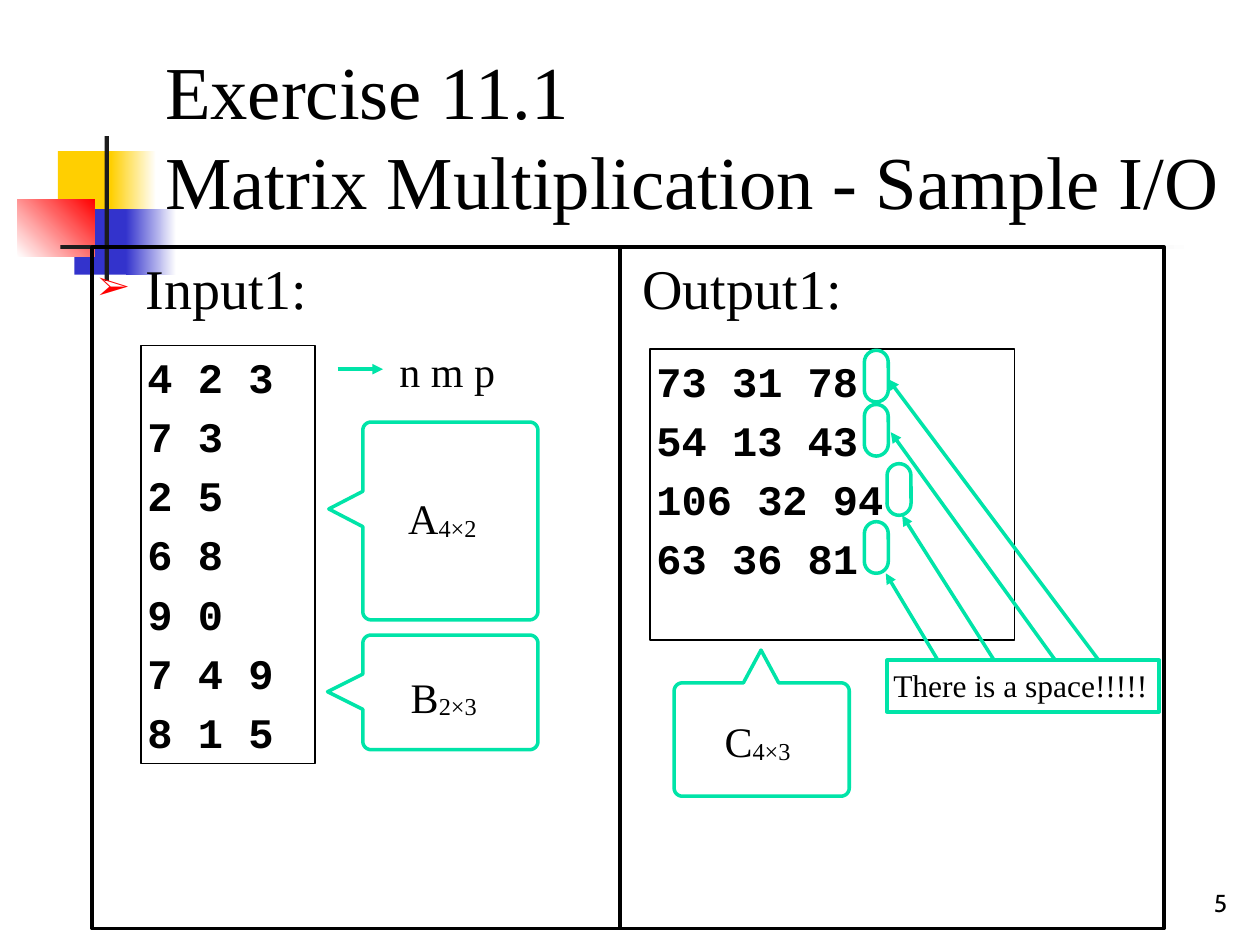
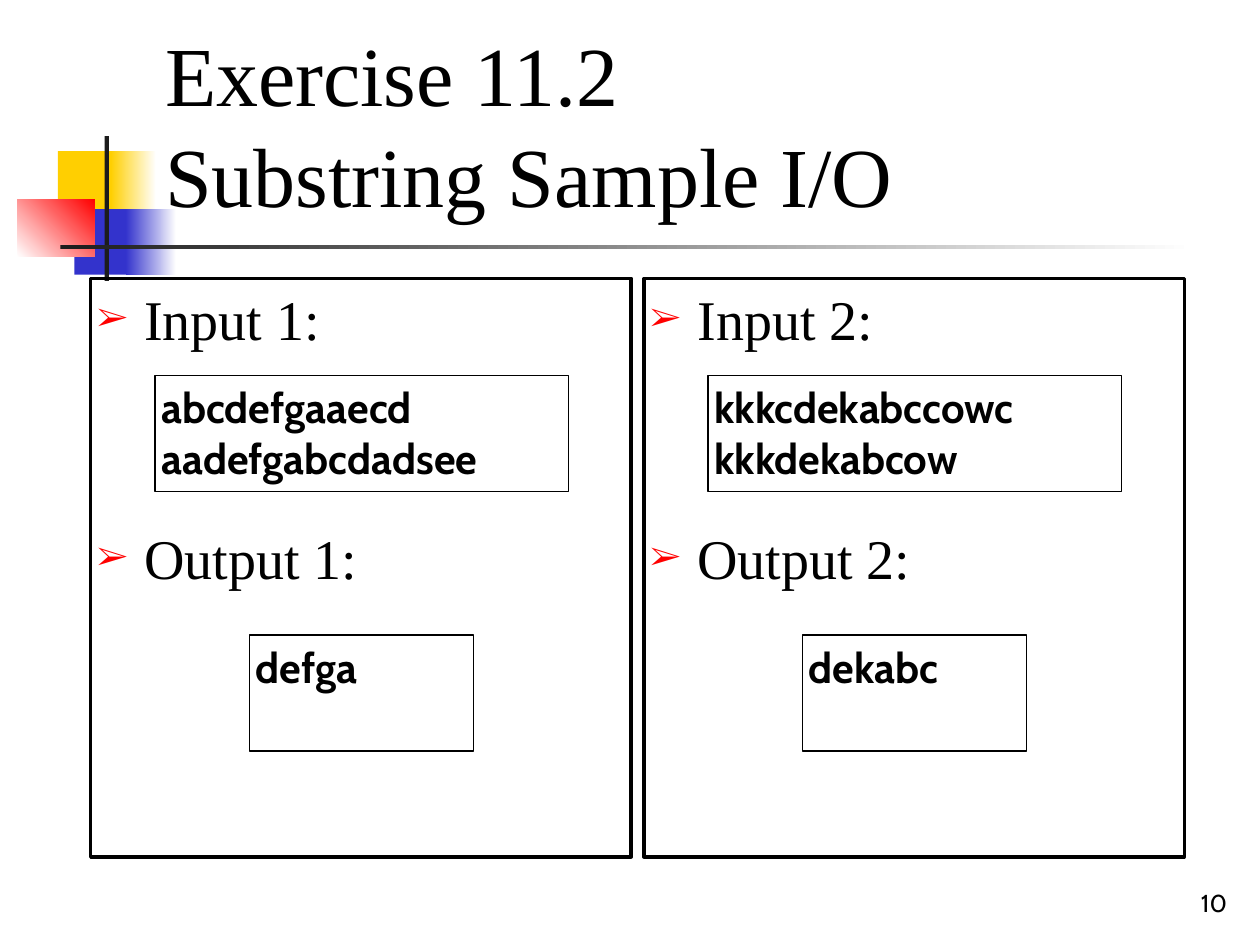
import math

import pptx
import pptx.dml.color
import pptx.enum.shapes
import pptx.enum.text
import pptx.oxml.ns
import pptx.util
from lxml import etree

# The slide is a grid of 100 columns by 75 rows; every length below is in cells.
CELL = pptx.util.Inches(0.1)
COLUMNS, ROWS = 100, 75
COLORS = {
    "ink": "000000", "paper": "FFFFFF", "yellow": "FFCF01", "blue": "3333CC",
    "red": "FF0000", "rule": "1C1C1C", "accent": "00E4A8",
}
SERIF, MONO, SANS = "Times New Roman", "Courier New", "Cabin"
PRESETS = pptx.enum.shapes.MSO_SHAPE
ANCHORS = pptx.enum.text.MSO_ANCHOR
ALIGNS = pptx.enum.text.PP_ALIGN
qn = pptx.oxml.ns.qn
rgb = {name: pptx.dml.color.RGBColor.from_string(code) for name, code in COLORS.items()}


def style(shape, fill=None, line=None, weight=2):
    """Fill may be a colour name, None, or (start, end, angle) for a gradient."""
    shape.shadow.inherit = False
    if fill is None:
        shape.fill.background()
    elif isinstance(fill, tuple):
        shape.fill.gradient()
        shape.fill.gradient_angle = fill[2]
        for stop, name in zip(shape.fill.gradient_stops, fill):
            stop.color.rgb = rgb[name]
    else:
        shape.fill.solid()
        shape.fill.fore_color.rgb = rgb[fill]
    if line:
        shape.line.color.rgb = rgb[line]
        shape.line.width = pptx.util.Pt(weight)
    else:
        shape.line.fill.background()


def write(slide, text, at, size=24, font=SERIF, bold=False, subscript="", bullet=False,
          before=0, gap=0, align=ALIGNS.LEFT, anchor=ANCHORS.TOP, wrap=True,
          fill=None, line=None, weight=2):
    """Add text, one paragraph a line; gap is the space before later paragraphs."""
    place = [round(length * CELL) for length in at]
    if line:
        holder = slide.shapes.add_shape(PRESETS.RECTANGLE, *place)
        style(holder, fill, line, weight)
    else:
        holder = slide.shapes.add_textbox(*place)
    frame = holder.text_frame
    frame.word_wrap = wrap
    frame.vertical_anchor = anchor
    frame.margin_left = frame.margin_right = round(CELL / 2)
    frame.margin_top = frame.margin_bottom = round(CELL / 2)
    for number, content in enumerate(text.split("\n")):
        paragraph = frame.add_paragraph() if number else frame.paragraphs[0]
        paragraph.alignment = align
        paragraph.space_before = pptx.util.Pt(gap if number else before)
        for part in filter(None, (content, subscript)):
            run = paragraph.add_run()
            run.text = part
            run.font.name = font
            run.font.size = pptx.util.Pt(size)
            run.font.bold = bold
            run.font.color.rgb = rgb["ink"]
        if subscript:
            run.font._element.set("baseline", "-6000")
        if bullet:
            properties = paragraph._p.get_or_add_pPr()
            properties.set("marL", str(round(3.75 * CELL)))
            properties.set("indent", str(round(-3.75 * CELL)))
            color = etree.SubElement(properties, qn("a:buClr"))
            etree.SubElement(color, qn("a:srgbClr"), val=COLORS["red"])
            etree.SubElement(properties, qn("a:buSzPct"), val="60000")
            etree.SubElement(properties, qn("a:buFont"), typeface=font)
            etree.SubElement(properties, qn("a:buChar"), char="➢")


deck = pptx.Presentation()
deck.slide_width, deck.slide_height = COLUMNS * CELL, ROWS * CELL

# Shared corner ornament, title and page number
ornament = [
    ((4.6, 12, 4.8, 5.2), "yellow"),
    ((8.8, 12, 3.6, 5.2), ("yellow", "paper", 0)),
    ((5.9, 16.6, 4.6, 5.2), "blue"),
    ((10, 16.6, 4, 5.2), ("blue", "paper", 0)),
    ((1.4, 15.8, 6.1, 4.6), ("paper", "red", 45)),
    ((8.3, 10.8, 0.35, 11.5), "rule"),
    ((4.8, 19.45, 90, 0.35), ("rule", "paper", 0)),
]
headings = [
    ("Exercise 11.1\nMatrix Multiplication - Sample I/O", 42.7, "5"),
    ("Exercise 11.2\nSubstring Sample I/O", 48, "10"),
]
for title, title_size, page in headings:
    slide = deck.slides.add_slide(deck.slide_layouts[6])
    for at, fill in ornament:
        place = [round(length * CELL) for length in at]
        style(slide.shapes.add_shape(PRESETS.RECTANGLE, *place), fill)
    write(slide, title, (12.6, 2.3, 85.2, 16), size=title_size, anchor=ANCHORS.BOTTOM)
    write(slide, page, (94.6, 69.9, 3.3, 3.4), size=14, font=SANS,
          align=ALIGNS.RIGHT, anchor=ANCHORS.BOTTOM)
matrices, substrings = deck.slides

# Matrix multiplication: input and output side by side
write(matrices, "Input1:", (7.3, 19.6, 85.1, 54.1), size=32, before=7, bullet=True, line="ink")
write(matrices, "Output1:", (50.5, 19.6, 25, 6), size=32, before=7)

# Speech bubbles: body, then the tail's tip on the left or the top edge
RADIUS, TAIL = 0.65, 1.4
bubbles = [
    ((28.8, 50.4, 13.9, 9.1), "left", (26, 54.9)),
    ((28.8, 33.5, 13.9, 15.7), "left", (26.1, 40.4)),
    ((53.5, 54.2, 13.9, 9), "top", (60.4, 51.6)),
]
for (left, top, width, height), side, (tip_x, tip_y) in bubbles:
    near_x, far_x = left + RADIUS, left + width - RADIUS
    near_y, far_y = top + RADIUS, top + height - RADIUS
    corners = [(near_x, near_y, 180), (far_x, near_y, 270), (far_x, far_y, 0), (near_x, far_y, 90)]
    outline = []
    for x, y, start in corners:
        for turn in range(0, 91, 15):
            angle = math.radians(start + turn)
            outline.append((x + RADIUS * math.cos(angle), y + RADIUS * math.sin(angle)))
        if side == "top" and start == 180:
            outline += [(tip_x - TAIL, top), (tip_x, tip_y), (tip_x + TAIL, top)]
    if side == "left":
        outline += [(left, tip_y + TAIL), (tip_x, tip_y), (left, tip_y - TAIL)]
    outline = [(round(x * CELL), round(y * CELL)) for x, y in outline]
    builder = matrices.shapes.build_freeform(*outline[0])
    builder.add_line_segments(outline[1:], close=True)
    style(builder.convert_to_shape(), "paper", "accent")

for matrix, order, at in [
    ("A", "4×2", (31.9, 38.6, 7, 4.6)),
    ("B", "2×3", (32.1, 52.8, 6.8, 4.6)),
    ("C", "4×3", (57, 56.3, 6.8, 4.6)),
]:
    write(matrices, matrix, at, subscript=order, wrap=False)
write(matrices, "n m p", (31.2, 26.9, 8.7, 4.6), wrap=False)

# The input box is tall enough to hold all seven rows
for numbers, at in [
    ("4 2 3\n7 3\n2 5\n6 8\n9 0\n7 4 9\n8 1 5", (11.2, 27.4, 13.8, 33.2)),
    ("73 31 78\n54 13 43\n106 32 94\n63 36 81", (51.6, 27.7, 28.9, 23.1)),
]:
    write(matrices, numbers, at, font=MONO, bold=True, before=5, gap=5, line="ink", weight=0.75)

# Trailing spaces, each ringed and pointed at from the note
for left, top in [(68.6, 27.8), (68.6, 32.1), (70.4, 36.8), (68.6, 41.4)]:
    place = [round(length * CELL) for length in (left, top, 1.9, 4.1)]
    ring = matrices.shapes.add_shape(PRESETS.ROUNDED_RECTANGLE, *place)
    ring.adjustments[0] = 0.5
    style(ring, line="accent")

for route, color in [
    ((83.9, 52.6, 70.7, 34.3), "accent"),
    ((87.8, 53.2, 70.5, 30.1), "accent"),
    ((74.8, 53, 70.3, 45.5), "accent"),
    ((78.9, 52.4, 71.6, 40.9), "accent"),
    ((26.8, 29.3, 30.4, 29.3), "accent"),
    ((49.2, 73.7, 49.2, 19.6), "ink"),
]:
    ends = [round(length * CELL) for length in route]
    link = matrices.shapes.add_connector(pptx.enum.shapes.MSO_CONNECTOR.STRAIGHT, *ends)
    link.line.color.rgb = rgb[color]
    link.line.width = pptx.util.Pt(2)
    if color == "accent":
        etree.SubElement(link.line._get_or_add_ln(), qn("a:tailEnd"), type="triangle")
    etree.SubElement(link._element.spPr, qn("a:effectLst"))

write(matrices, "There is a space!!!!!", (70.4, 52.4, 21.6, 4.1), size=18, wrap=False,
      fill="paper", line="accent")

# Substring: two samples, one a column
FIRST_COLUMN, COLUMN_STEP = 7.2, 43.9
samples = [
    ("abcdefgaaecd\naadefgabcdadsee", "defga"),
    ("kkkcdekabccowc\nkkkdekabcow", "dekabc"),
]
for index, (given, answer) in enumerate(samples):
    left = FIRST_COLUMN + index * COLUMN_STEP
    write(substrings, f"Input {index + 1}:\nOutput {index + 1}:", (left, 22.1, 42.9, 45.9),
          size=32, before=7, gap=98, bullet=True, line="ink")
    for text, at in [(given, (left + 5.1, 29.8, 32.8, 9.2)),
                     (answer, (left + 12.6, 50.4, 17.8, 9.2))]:
        write(substrings, text, at, font=SANS, bold=True, line="ink", weight=0.75)

deck.save("out.pptx")
